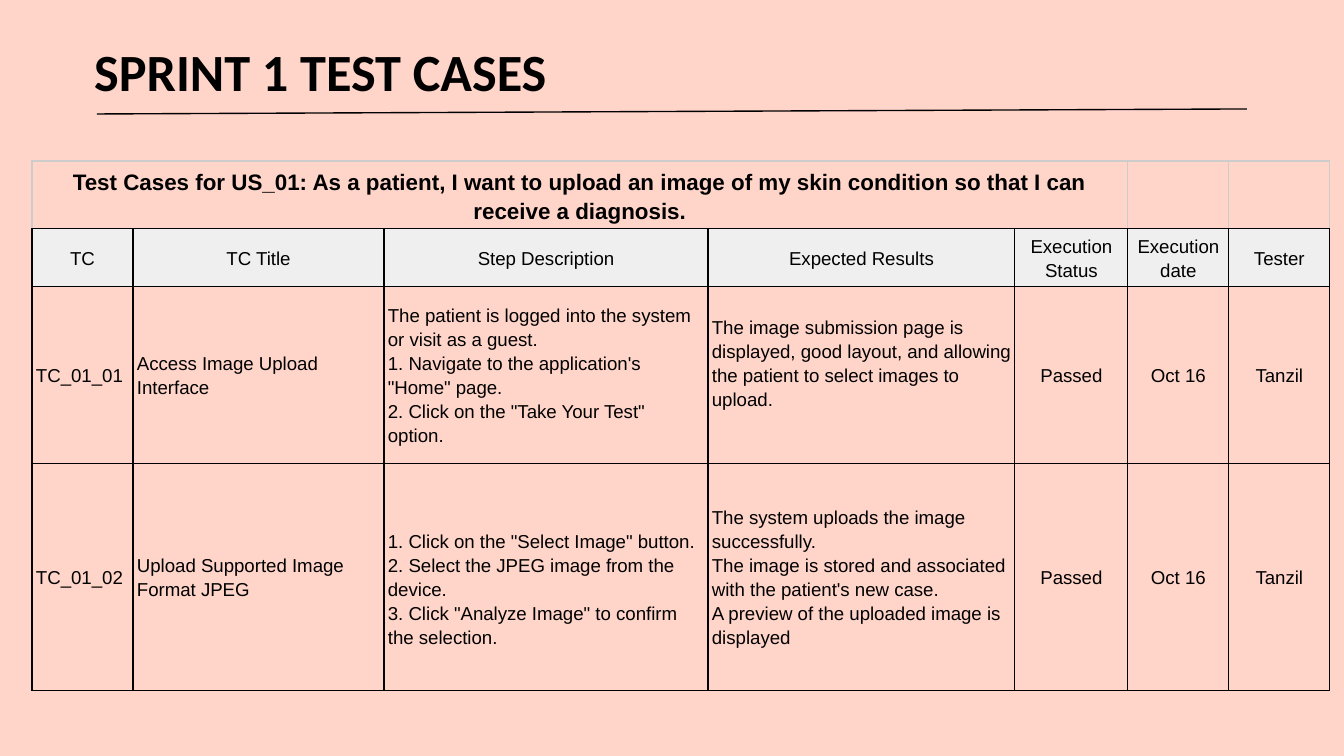
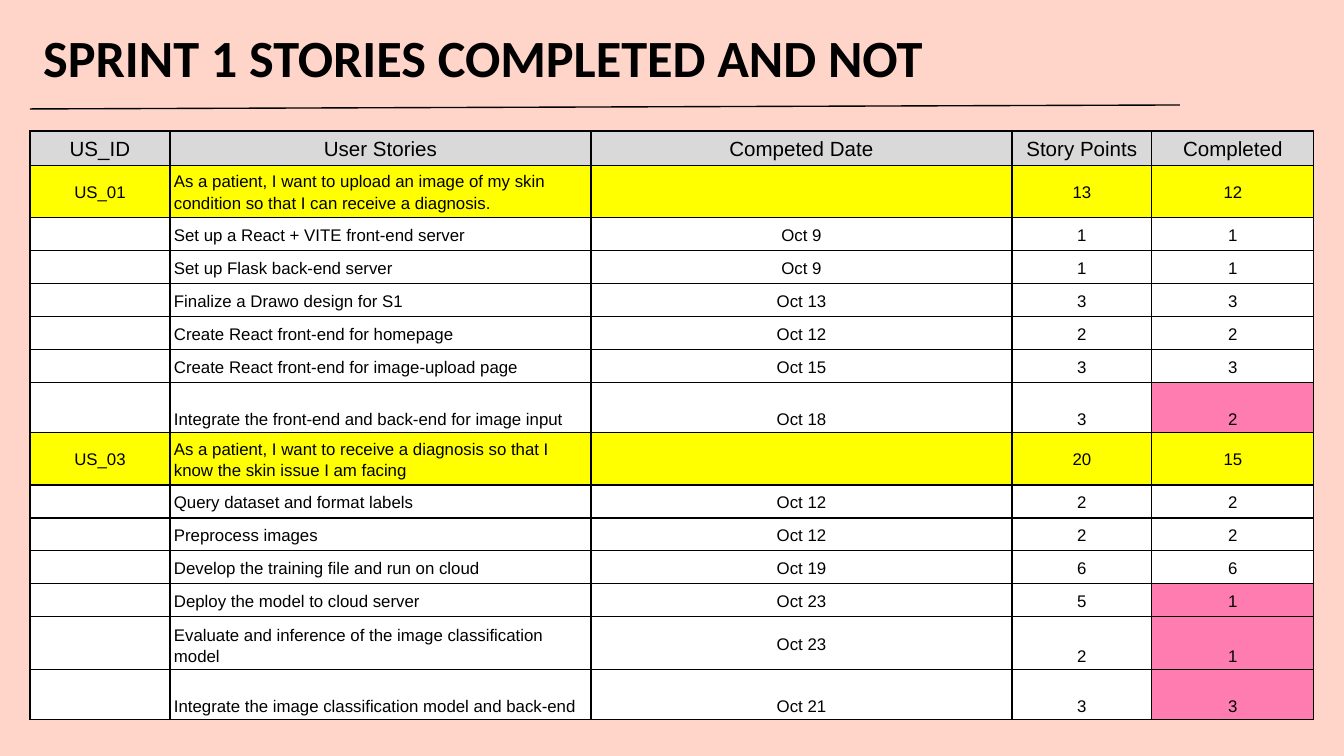
from lxml import etree
from pptx import Presentation
from pptx import util as u
from pptx.dml.color import RGBColor
from pptx.enum import shapes, text
from pptx.oxml import parse_xml
from pptx.oxml.ns import nsdecls, qn

PX = 914400 / 134.4
HEX = {"back": "FFD5CA", "ink": "000000", "pale": "CCCCCC", "light": "EFEFEF",
       "grey": "D9D9D9", "gold": "FFFF00", "white": "FFFFFF", "pink": "FF7CB1"}
RGB = {name: RGBColor.from_string(code) for name, code in HEX.items()}
MID, LOW = text.MSO_ANCHOR.MIDDLE, text.MSO_ANCHOR.BOTTOM
MID_AL, LEFT_AL = text.PP_ALIGN.CENTER, text.PP_ALIGN.LEFT

deck = Presentation()
deck.slide_width, deck.slide_height = u.Emu(9144000), u.Emu(5143500)


def start(title, left, top, line):
    """Add a slide with its title and the rule under it."""
    slide = deck.slides.add_slide(deck.slide_layouts[6])
    slide.background.fill.solid()
    slide.background.fill.fore_color.rgb = RGB["back"]
    box = slide.shapes.add_textbox(*[round(n * PX) for n in (left, top, 1133, 85)])
    frame = box.text_frame
    frame.word_wrap = True
    frame.margin_left = frame.margin_right = u.Inches(0.1)
    frame.margin_top = frame.margin_bottom = u.Inches(0.1)
    frame.text = title
    font = frame.paragraphs[0].font
    font.name, font.size, font.bold = "Calibri", u.Pt(28), True
    font.color.rgb = RGB["ink"]
    rule = slide.shapes.add_connector(shapes.MSO_CONNECTOR.STRAIGHT,
                                      *[round(n * PX) for n in line])
    rule.line.color.rgb, rule.line.width = RGB["ink"], u.Pt(0.75)
    etree.SubElement(rule._element.spPr, qn("a:effectLst"))
    return slide


def grid(slide, left, top, cols, rows, data, look):
    """Add a table; look(row, col) gives size, bold, align, anchor, fill, edge."""
    table = slide.shapes.add_table(
        len(rows), len(cols),
        *[round(n * PX) for n in (left, top, sum(cols), sum(rows))]).table
    table.first_row = table.horz_banding = False
    for col, wide in zip(table.columns, cols):
        col.width = round(wide * PX)
    for row, high in zip(table.rows, rows):
        row.height = round(high * PX)
    for r, words in enumerate(data):
        for c, word in enumerate(words):
            size, bold, align, anchor, fill, edge = look(r, c)
            cell = table.cell(r, c)
            cell.text = word
            cell.vertical_anchor = anchor
            cell.margin_left = cell.margin_right = round(4 * PX)
            cell.margin_top = cell.margin_bottom = round(3 * PX)
            if fill:
                cell.fill.solid()
                cell.fill.fore_color.rgb = RGB[fill]
            else:
                cell.fill.background()
            for n, side in enumerate("LRTB"):
                tone = HEX["ink" if side == "B" else edge]
                cell._tc.tcPr.insert(n, parse_xml(
                    f'<a:ln{side} {nsdecls("a")} w="9525"><a:solidFill>'
                    f'<a:srgbClr val="{tone}"/></a:solidFill></a:ln{side}>'))
            for para in cell.text_frame.paragraphs:
                para.alignment, para.line_spacing = align, 1.15
                font = para.font
                font.name, font.size, font.bold = "Arial", u.Pt(size), bold
                font.color.rgb = RGB["ink"]
                if not word:
                    para._p.get_or_add_endParaRPr().set("sz", str(size * 100))
    return table


# Test cases
tests = [
    ["Test Cases for US_01: As a patient, I want to upload an image of my skin "
     "condition so that I can receive a diagnosis."] + [""] * 6,
    ["TC", "TC Title", "Step Description", "Expected Results",
     "Execution Status", "Execution date", "Tester"],
    ["TC_01_01", "Access Image Upload Interface",
     "The patient is logged into the system or visit as a guest.\n"
     "1. Navigate to the application's \"Home\" page.\n"
     "2. Click on the \"Take Your Test\" option.",
     "The image submission page is displayed, good layout, and allowing the "
     "patient to select images to upload.",
     "Passed", "Oct 16", "Tanzil"],
    ["TC_01_02", "Upload Supported Image Format JPEG",
     "1. Click on the \"Select Image\" button.\n"
     "2. Select the JPEG image from the device.\n"
     "3. Click \"Analyze Image\" to confirm the selection.",
     "The system uploads the image successfully.\n"
     "The image is stored and associated with the patient's new case.\n"
     "A preview of the uploaded image is displayed",
     "Passed", "Oct 16", "Tanzil"],
]


def case(r, c):
    align = LEFT_AL if r > 1 and c < 4 else MID_AL
    return (10 if r else 12, r == 0, align, MID,
            "light" if r == 1 else None, "ink" if r else "pale")


slide = start("SPRINT 1 TEST CASES", 81, 26, (97, 114, 1247, 109))
table = grid(slide, 32, 161, [101, 251, 324, 307, 113, 101, 101],
             [65, 55, 177, 227], tests, case)
table.cell(0, 0).merge(table.cell(0, 4))
table.cell(2, 3).margin_bottom = table.cell(3, 2).margin_top = round(27 * PX)

# Stories
tales = [
    ["US_ID", "User Stories", "Competed Date", "Story Points", "Completed"],
    ["US_01", "As a patient, I want to upload an image of my skin condition so "
     "that I can receive a diagnosis.", "", "13", "12"],
    ["", "Set up a React + VITE front-end server", "Oct 9", "1", "1"],
    ["", "Set up Flask back-end server", "Oct 9", "1", "1"],
    ["", "Finalize a Drawo design for S1", "Oct 13", "3", "3"],
    ["", "Create React front-end for homepage", "Oct 12", "2", "2"],
    ["", "Create React front-end for image-upload page", "Oct 15", "3", "3"],
    ["", "Integrate the front-end and back-end for image input",
     "Oct 18", "3", "2"],
    ["US_03", "As a patient, I want to receive a diagnosis so that I know the "
     "skin issue I am facing", "", "20", "15"],
    ["", "Query dataset and format labels", "Oct 12", "2", "2"],
    ["", "Preprocess images", "Oct 12", "2", "2"],
    ["", "Develop the training file and run on cloud", "Oct 19", "6", "6"],
    ["", "Deploy the model to cloud server", "Oct 23", "5", "1"],
    ["", "Evaluate and inference of the image classification model",
     "Oct 23", "2", "1"],
    ["", "Integrate the image classification model and back-end",
     "Oct 21", "3", "3"],
]
tall = (7, 13, 14)


def tale(r, c):
    fill = "white"
    if r == 0:
        fill = "grey"
    elif tales[r][0]:
        fill = "gold"
    elif c == 4 and r in (7, 12, 13, 14):
        fill = "pink"
    anchor = LOW if r in tall and (r, c) != (13, 2) else MID
    return (9 if r else 11, False, LEFT_AL if r and c == 1 else MID_AL,
            anchor, fill, "ink")


slide = start("SPRINT 1 STORIES COMPLETED AND NOT", 30, 12, (30, 109, 1180, 105))
highs = [50 if r in tall or row[0] and r else 33 for r, row in enumerate(tales)]
grid(slide, 30, 131, [140, 421, 421, 140, 162], highs, tales, tale)

deck.save("out.pptx")
